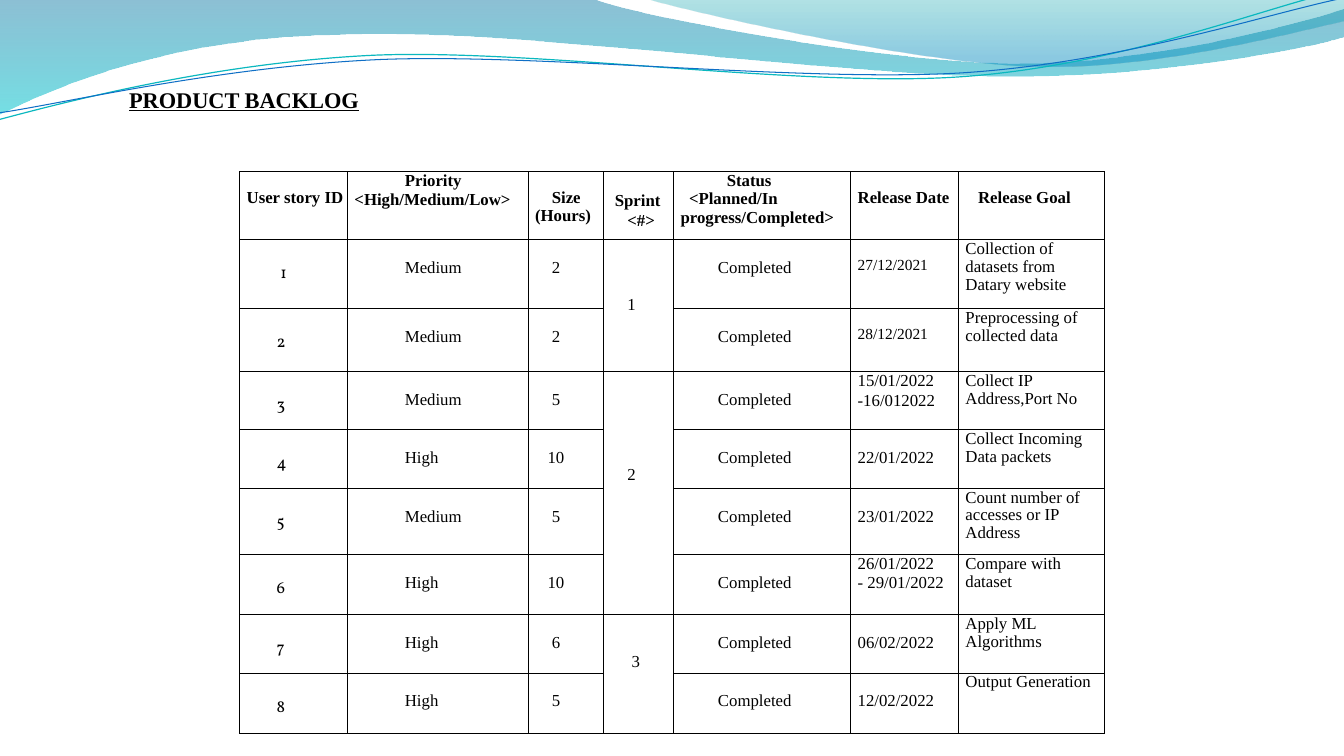
from dataclasses import dataclass

from lxml.etree import SubElement
from pptx import Presentation
from pptx.dml.color import RGBColor
from pptx.enum.text import MSO_ANCHOR, PP_ALIGN
from pptx.oxml.ns import qn
from pptx.util import Pt


@dataclass(frozen=True)
class Theme:
    """Colours, fonts and type sizes of the slide."""
    ink: str = "000000"
    teal: str = "0AB8BF"
    blue: str = "0F6FC6"
    font: str = "Times New Roman"
    number_font: str = "Vollkorn"
    title_size: float = 16
    body_size: float = 12
    small_size: float = 11
    border_width: float = 0.58


@dataclass(frozen=True)
class Line:
    """One paragraph of a cell, with first-line indent and spacing in points."""
    text: str
    indent: float = 0
    spacing: float = 12.8


THEME = Theme()
INSET = 5
COLUMN_WIDTHS = [77, 129, 54, 50, 126.5, 77, 104]
ROW_HEIGHTS = [48.6, 49.3, 45, 41.5, 42, 47.2, 42.9, 42, 43]

HEADERS = [
    (12.6, [Line("User story ID")]),
    (0, [Line("Priority", 36, 13.4), Line("<High/Medium/Low>", spacing=13.5)]),
    (12.6, [Line("Size (Hours)", 12)]),
    (14, [Line("Sprint", 3, 14), Line("<#>", 12, 14)]),
    (0, [Line("Status", 33, 13.4), Line("<Planned/In progress/Completed>", 6, 13.2)]),
    (12.6, [Line("Release Date")]),
    (12.6, [Line("Release Goal", 9)]),
]

STORIES = [
    ("Medium", 2, ["27/12/2021"], ["Collection of datasets from Datary website"]),
    ("Medium", 2, ["28/12/2021"], ["Preprocessing of collected data"]),
    ("Medium", 5, ["15/01/2022", "-16/012022"], ["Collect IP Address,Port No"]),
    ("High", 10, ["22/01/2022"], ["Collect Incoming Data packets"]),
    ("Medium", 5, ["23/01/2022"], ["Count number of accesses or IP Address"]),
    ("High", 10, ["26/01/2022", "- 29/01/2022"], ["Compare with", "dataset"]),
    ("High", 6, ["06/02/2022"], ["Apply ML Algorithms"]),
    ("High", 5, ["12/02/2022"], ["Output Generation"]),
]

SPRINTS = [("1", 1, 2, 17, 40.2), ("2", 3, 6, 17, 67), ("3", 7, 8, 20, 27.6)]

BACK_WAVE = [
    (0, 0), (423, -1), (456, 12, 637, 45, 728, 45), (819, 45, 920, 19, 960, 6.5),
    (961, 26), (944, 32, 835, 55, 716, 54), (597, 54, 366, 20, 247, 24.5),
    (124, 26, 44, 60, -1, 81.5), (0, 0),
]
FRONT_WAVE = [
    (460, -1), (489, 8, 654, 45, 738, 47), (822, 50, 923, 23, 960, 15), (960, 0),
    (460, -1),
]
TEAL_STROKE = [
    (-1, 85.5), (46, 73, 152, 45, 266, 39.5), (379, 34.5, 569, 62.5, 684, 55),
    (799, 47.5, 901, 6, 958, -7),
]
BLUE_STROKE = [
    (0, 80.5), (45, 74, 157, 47.5, 272, 42.5), (387, 38, 573, 59, 688, 52),
    (803, 44.5, 904, 10, 960, -1.5),
]


def add_outline(slide, segments, close):
    """Draw an outline of straight (one point) and cubic (three points) segments."""
    points = [(Pt(x), Pt(y)) for segment in segments
              for x, y in zip(segment[::2], segment[1::2])]
    builder = slide.shapes.build_freeform(*points[0])
    builder.add_line_segments(points[1:], close=close)
    shape = builder.convert_to_shape()
    shape.shadow.inherit = False
    steps = iter(shape._element.xpath(".//a:lnTo"))
    for segment in segments[1:]:
        step = next(steps)
        if len(segment) == 6:
            step.tag = qn("a:cubicBezTo")
            for _ in range(2):
                extra = next(steps)
                step.append(extra[0])
                extra.getparent().remove(extra)
    return shape


def add_wave(slide, segments, stops):
    """Add a wave with a downward gradient of (position, colour, opacity) stops."""
    shape = add_outline(slide, segments, True)
    shape.line.fill.background()
    shape.fill.gradient()
    shape.fill.gradient_angle = 270
    for stop, (position, colour, _) in zip(shape.fill.gradient_stops, stops):
        stop.position = position
        stop.color.rgb = RGBColor.from_string(colour)
    colours = shape._element.xpath(".//a:gs/a:srgbClr")
    for colour, (_, _, opacity) in zip(colours, stops):
        SubElement(colour, qn("a:alpha"), val=str(opacity * 1000))


def add_stroke(slide, segments, colour, width):
    """Add an open curved line."""
    shape = add_outline(slide, segments, False)
    shape.fill.background()
    shape.line.color.rgb = RGBColor.from_string(colour)
    shape.line.width = Pt(width)


def style_font(font, size, name=THEME.font, bold=False):
    """Apply the type style to a font."""
    font.name = name
    font.size = Pt(size)
    font.bold = bold
    font.color.rgb = RGBColor.from_string(THEME.ink)


def fill_title(slide, text):
    """Place the underlined heading in the title placeholder."""
    title = slide.shapes.title
    title.left, title.top, title.width, title.height = Pt(85), Pt(57.6), Pt(790), Pt(48)
    frame = title.text_frame
    frame.text = text
    frame.vertical_anchor = MSO_ANCHOR.TOP
    paragraph = frame.paragraphs[0]
    paragraph.alignment = PP_ALIGN.LEFT
    style_font(paragraph.font, THEME.title_size, bold=True)
    paragraph.font.underline = True


def frame_cell(cell):
    """Give a cell thin borders and no fill."""
    properties = cell._tc.get_or_add_tcPr()
    for side in ("a:lnL", "a:lnR", "a:lnT", "a:lnB"):
        border = SubElement(properties, qn(side), w=str(Pt(THEME.border_width)))
        SubElement(SubElement(border, qn("a:solidFill")), qn("a:srgbClr"), val=THEME.ink)
    cell.fill.background()


def write_cell(cell, lines, left=INSET, top=0, size=THEME.body_size,
               name=THEME.font, bold=False):
    """Write lines into a cell at an offset from its top left corner."""
    cell.margin_left, cell.margin_top = Pt(left), Pt(top)
    cell.margin_right = cell.margin_bottom = 0
    frame = cell.text_frame
    for index, line in enumerate(lines):
        paragraph = frame.add_paragraph() if index else frame.paragraphs[0]
        paragraph.text = line.text
        if line.spacing:
            paragraph.line_spacing = Pt(line.spacing)
        if line.indent:
            paragraph._p.get_or_add_pPr().set("indent", str(Pt(line.indent)))
        style_font(paragraph.font, size, name, bold)


def write_story(table, row, priority, hours, dates, goal):
    """Write one user story into its table row."""
    def single(column, text, left, top=13.5, **style):
        write_cell(table.cell(row, column), [Line(text, spacing=0)], left, top, **style)

    single(0, str(row), 29 if row == 1 else 26.4, 16.5, name=THEME.number_font)
    single(1, priority, 41)
    single(2, str(hours), 17 if hours < 10 else 14)
    single(4, "Completed", 31.7)
    if len(dates) > 1:
        write_cell(table.cell(row, 5), [Line(date, spacing=13.7) for date in dates])
    elif row <= 2:
        single(5, dates[0], INSET, 12.7, size=THEME.small_size)
    else:
        single(5, dates[0], INSET)
    write_cell(table.cell(row, 6), [Line(text) for text in goal], top=0.4)


def add_backlog(slide):
    """Add the product backlog table."""
    table = slide.shapes.add_table(
        len(ROW_HEIGHTS), len(COLUMN_WIDTHS), Pt(171.2), Pt(122.4),
        Pt(sum(COLUMN_WIDTHS)), Pt(sum(ROW_HEIGHTS))).table
    table.first_row = table.horz_banding = False
    for column, width in zip(table.columns, COLUMN_WIDTHS):
        column.width = Pt(width)
    for row, height in zip(table.rows, ROW_HEIGHTS):
        row.height = Pt(height)
    for cell in table.iter_cells():
        frame_cell(cell)
    for column, (top, lines) in enumerate(HEADERS):
        write_cell(table.cell(0, column), lines, top=top, bold=True)
    for row, story in enumerate(STORIES, start=1):
        write_story(table, row, *story)
    for number, first, last, left, top in SPRINTS:
        table.cell(first, 3).merge(table.cell(last, 3))
        write_cell(table.cell(first, 3), [Line(number, spacing=0)], left, top)


def main():
    """Build the slide and save it."""
    presentation = Presentation()
    presentation.slide_width, presentation.slide_height = Pt(960), Pt(540)
    slide = presentation.slides.add_slide(presentation.slide_layouts[5])
    add_wave(slide, BACK_WAVE, [(0, "0074A1", 45), (1, "00C6CF", 55)])
    add_wave(slide, FRONT_WAVE, [(0, "00A1A9", 30), (0.8, "008BBF", 45)])
    add_stroke(slide, TEAL_STROKE, THEME.teal, 0.85)
    add_stroke(slide, BLUE_STROKE, THEME.blue, 0.75)
    fill_title(slide, "PRODUCT BACKLOG")
    add_backlog(slide)
    presentation.save("out.pptx")


if __name__ == "__main__":
    main()
